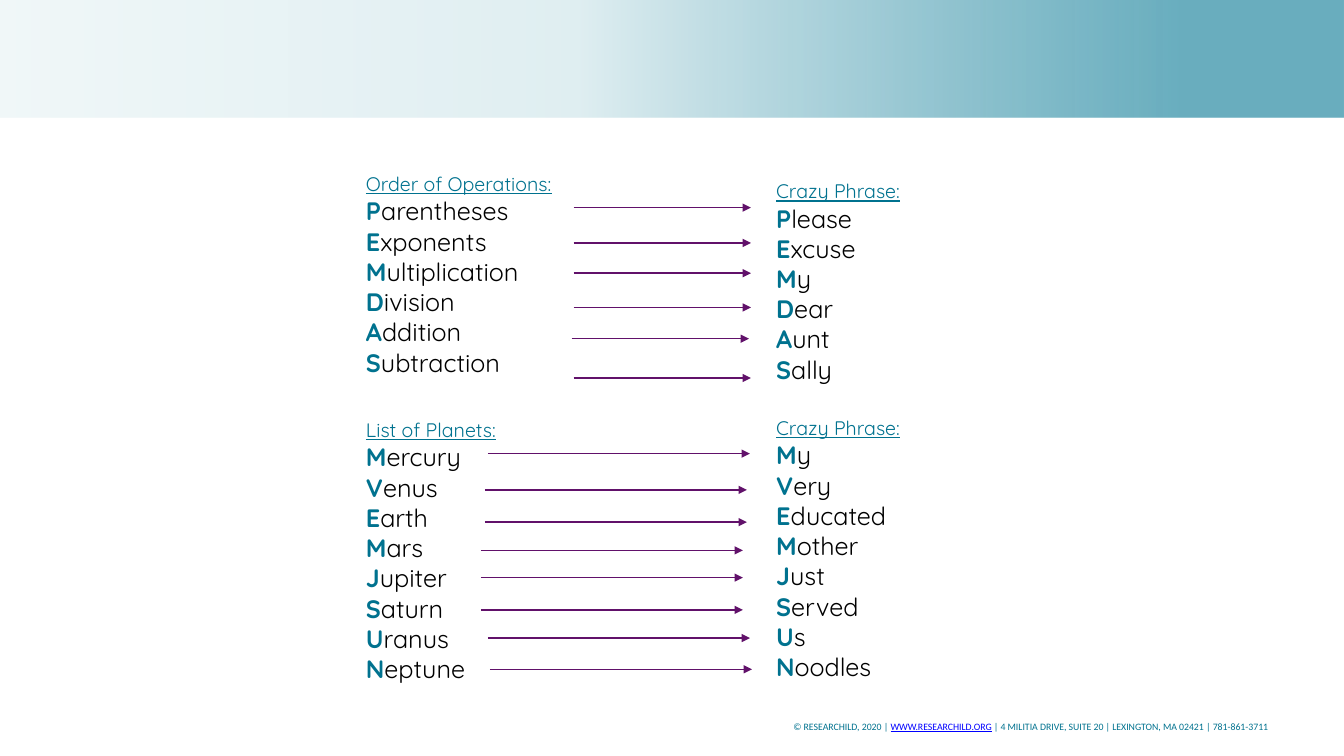
from lxml import etree
from pptx import Presentation
from pptx.dml.color import RGBColor
from pptx.enum.shapes import MSO_CONNECTOR, MSO_SHAPE
from pptx.enum.text import MSO_AUTO_SIZE, PP_ALIGN
from pptx.oxml.ns import qn
from pptx.util import Inches, Pt

STRAIGHT = MSO_CONNECTOR.STRAIGHT
RECTANGLE = MSO_SHAPE.RECTANGLE
GROW = MSO_AUTO_SIZE.SHAPE_TO_FIT_TEXT
LEFT, RIGHT = PP_ALIGN.LEFT, PP_ALIGN.RIGHT

TEAL = RGBColor(0x00, 0x72, 0x8F)
BLACK = RGBColor(0x00, 0x00, 0x00)
LINK_BLUE = RGBColor(0x00, 0x00, 0xFF)
PURPLE = RGBColor(0x61, 0x11, 0x6A)
BAND_PALE = RGBColor(0xF0, 0xF7, 0xF8)
BAND_LIGHT = RGBColor(0xDF, 0xEE, 0xF1)
BAND_DEEP = RGBColor(0x4E, 0x9F, 0xB3)

CELL = Inches(0.1)
SLIDE_COLUMNS, SLIDE_ROWS = 133.33, 75
TERM_COLUMN, PHRASE_COLUMN = 35.8, 76.5

BAND_STOPS = [(0, BAND_PALE, 100), (43, BAND_LIGHT, 100), (88, BAND_DEEP, 84)]
MNEMONIC_LISTS = [
    (TERM_COLUMN, 16.6, 20.5, "Order of Operations:",
     ["Parentheses", "Exponents", "Multiplication", "Division", "Addition", "Subtraction"]),
    (PHRASE_COLUMN, 17.3, 13.8, "Crazy Phrase:",
     ["Please", "Excuse", "My", "Dear", "Aunt", "Sally"]),
    (TERM_COLUMN, 41, 14.1, "List of Planets:",
     ["Mercury", "Venus", "Earth", "Mars", "Jupiter", "Saturn", "Uranus", "Neptune"]),
    (PHRASE_COLUMN, 40.8, 13.8, "Crazy Phrase:",
     ["My", "Very", "Educated", "Mother", "Just", "Served", "Us", "Noodles"]),
]
ARROW_GROUPS = [
    (17.6, [(56.9, 20.6), (56.9, 24.1), (56.9, 27.1),
            (56.9, 30.5), (56.7, 33.6), (56.9, 37.5)]),
    (26, [(48.4, 45), (48.1, 48.6), (48.1, 51.8), (47.7, 54.6),
          (47.7, 57.3), (47.7, 60.5), (48.4, 63.3), (48.6, 66.4)]),
]


def cells(count):
    return round(count * CELL)


class MnemonicSlide:
    body_font = "Quicksand"
    footer_font = "Calibri"
    heading_size, word_size, footer_size = Pt(14), Pt(18), Pt(7)

    def __init__(self, presentation):
        self.slide = presentation.slides.add_slide(presentation.slide_layouts[6])

    def band(self, rows):
        shape = self.slide.shapes.add_shape(
            RECTANGLE, 0, 0, cells(SLIDE_COLUMNS), cells(rows))
        shape.shadow.inherit = False
        shape.line.fill.background()
        shape.fill.gradient()
        shape.fill.gradient_angle = 0
        stops = shape.element.spPr.find(".//" + qn("a:gsLst"))
        for stop in list(stops):
            stops.remove(stop)
        for position, color, opacity in BAND_STOPS:
            stop = etree.SubElement(stops, qn("a:gs"), pos=str(position * 1000))
            fill = etree.SubElement(stop, qn("a:srgbClr"), val=str(color))
            if opacity < 100:
                etree.SubElement(fill, qn("a:alpha"), val=str(opacity * 1000))

    def run(self, paragraph, text, font, size, color, bold=False, underline=False):
        run = paragraph.add_run()
        run.text = text
        run.font.name = font
        run.font.size = size
        run.font.color.rgb = color
        run.font.bold = bold
        run.font.underline = underline

    def text_frame(self, column, row, columns, rows, wrap):
        box = self.slide.shapes.add_textbox(*map(cells, (column, row, columns, rows)))
        frame = box.text_frame
        frame.margin_left = frame.margin_right = Inches(0.05)
        frame.margin_top = frame.margin_bottom = Inches(0.05)
        frame.word_wrap = wrap
        frame.auto_size = GROW
        return frame

    def mnemonic(self, column, row, columns, heading, words):
        frame = self.text_frame(column, row, columns, 3.7 + 3 * len(words), False)
        paragraph = frame.paragraphs[0]
        paragraph.alignment = LEFT
        self.run(paragraph, heading, self.body_font, self.heading_size, TEAL, underline=True)
        for word in words:
            paragraph = frame.add_paragraph()
            paragraph.alignment = LEFT
            self.run(paragraph, word[0], self.body_font, self.word_size, TEAL, bold=True)
            self.run(paragraph, word[1:], self.body_font, self.word_size, BLACK)

    def arrow(self, column, row, columns):
        connector = self.slide.shapes.add_connector(
            STRAIGHT, cells(column), cells(row), cells(column + columns), cells(row))
        connector.line.color.rgb = PURPLE
        connector.line.width = Pt(1)
        etree.SubElement(connector.line._get_or_add_ln(), qn("a:tailEnd"), type="triangle")
        etree.SubElement(connector.element.spPr, qn("a:effectLst"))

    def footer(self, pieces):
        frame = self.text_frame(36.8, 71, 89.5, 2.1, True)
        paragraph = frame.paragraphs[0]
        paragraph.alignment = RIGHT
        for text, color, underline in pieces:
            self.run(paragraph, text, self.footer_font, self.footer_size, color,
                     underline=underline)


def main():
    presentation = Presentation()
    presentation.slide_width = cells(SLIDE_COLUMNS)
    presentation.slide_height = cells(SLIDE_ROWS)
    page = MnemonicSlide(presentation)
    page.band(11.7)
    page.footer([
        ("© RESEARCHILD, 2020 | ", TEAL, False),
        ("WWW.RESEARCHILD.ORG", LINK_BLUE, True),
        (" | 4 MILITIA DRIVE, SUITE 20 | LEXINGTON, MA 02421 | 781-861-3711", TEAL, False),
    ])
    for mnemonic in MNEMONIC_LISTS:
        page.mnemonic(*mnemonic)
    for columns, starts in ARROW_GROUPS:
        for column, row in starts:
            page.arrow(column, row, columns)
    presentation.save("out.pptx")


if __name__ == "__main__":
    main()
